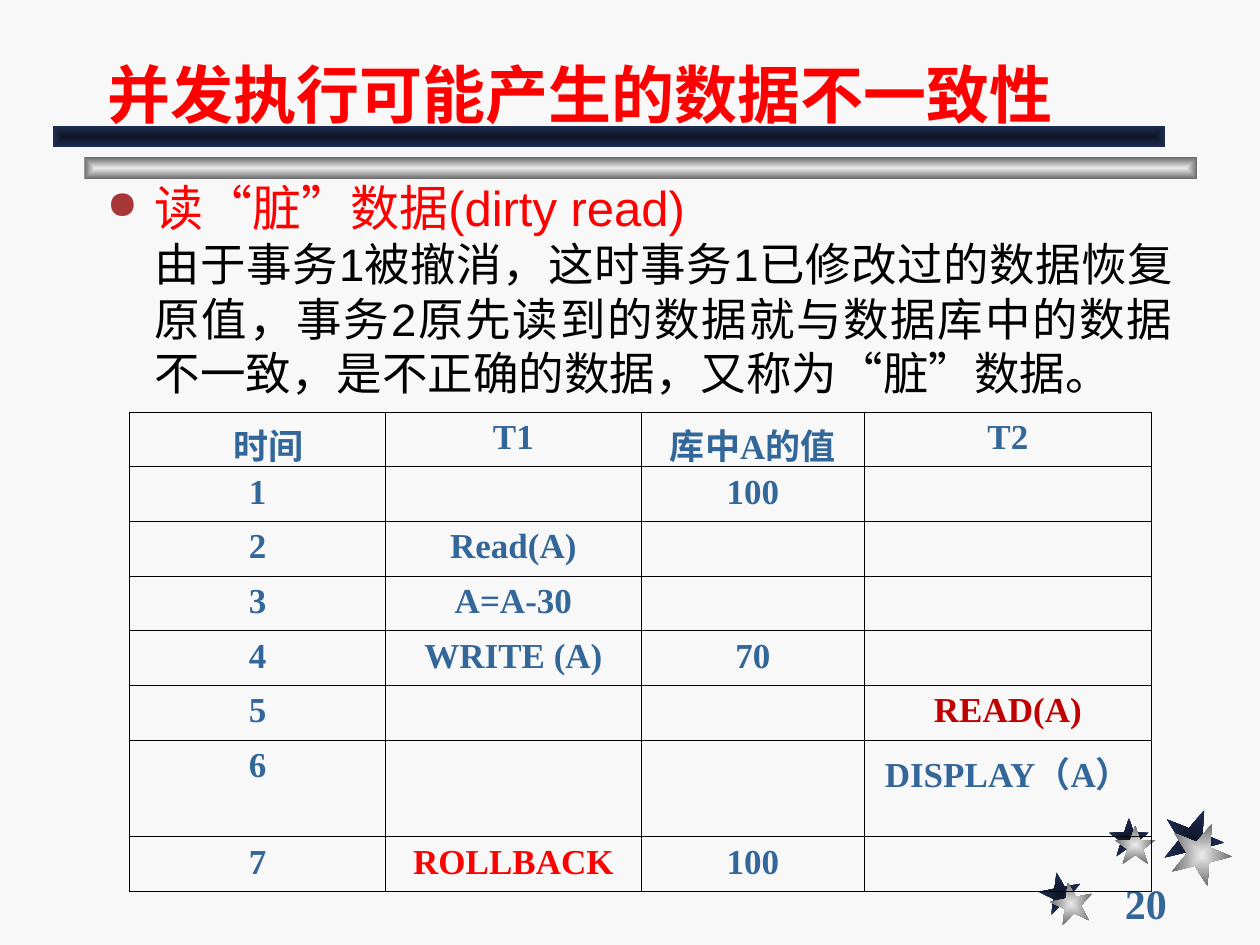
import math

import pptx
import pptx.dml.color
import pptx.enum.shapes
import pptx.enum.text
import pptx.oxml
import pptx.oxml.ns
import pptx.util

Inches = pptx.util.Inches
Align = pptx.enum.text.PP_ALIGN
Anchor = pptx.enum.text.MSO_ANCHOR

NAVY = ("0E1526", "1E2E53")
SILVER = ("EAEAEA", "6C6C6C")
RED, STEEL, BLACK = "FF0000", "336699", "000000"
HANGING = 0.38


def color(value):
    return pptx.dml.color.RGBColor.from_string(value)


def parse_element(tag, attributes="", inner=""):
    namespace = pptx.oxml.ns.nsdecls("a")
    return pptx.oxml.parse_xml(f"<a:{tag} {namespace} {attributes}>{inner}</a:{tag}>")


def fill_from_center(shape, shades):
    stops = "".join(
        f'<a:gs pos="{position}"><a:srgbClr val="{shade}"/></a:gs>'
        for position, shade in zip((0, 100000), shades)
    )
    target = '<a:fillToRect l="50000" t="50000" r="50000" b="50000"/>'
    gradient = parse_element(
        "gradFill", 'rotWithShape="1"',
        f'<a:gsLst>{stops}</a:gsLst><a:path path="rect">{target}</a:path>',
    )
    shape.shadow.inherit = False
    shape.line.fill.background()
    shape.fill.background()
    properties = shape._element.spPr
    properties.replace(properties.find(pptx.oxml.ns.qn("a:noFill")), gradient)


def add_run(paragraph, text, size, shade, font="Arial", bold=False):
    run = paragraph.add_run()
    run.text = text
    run.font.size = pptx.util.Pt(size)
    run.font.name = font
    run.font.bold = bold
    run.font.color.rgb = color(shade)


def indent(paragraph, margin, first_line):
    properties = paragraph._p.get_or_add_pPr()
    properties.set("marL", str(Inches(margin)))
    properties.set("indent", str(Inches(first_line)))
    return properties


def add_text_frame(slide, left, top, width, height):
    box = slide.shapes.add_textbox(
        Inches(left), Inches(top), Inches(width), Inches(height))
    box.text_frame.word_wrap = True
    return box.text_frame


def add_star(slide, center_x, center_y, radius, turn, shades):
    points = []
    for step in range(10):
        reach = radius if step % 2 == 0 else radius * 0.38
        angle = math.radians(turn + 36 * step)
        points.append((Inches(center_x + reach * math.sin(angle)),
                       Inches(center_y - reach * math.cos(angle))))
    builder = slide.shapes.build_freeform(*points[0])
    builder.add_line_segments(points[1:], close=True)
    fill_from_center(builder.convert_to_shape(), shades)


def add_star_cluster(slide, left, top):
    stars = [
        (0.17, 0.68, 0.18, -11, 0.09, 0.08),
        (0.71, 0.24, 0.17, 0, 0.05, 0.06),
        (1.21, 0.25, 0.26, 22, 0.06, 0.11),
    ]
    for shades, layer in ((NAVY, 0), (SILVER, 1)):
        for x, y, radius, turn, shift_x, shift_y in stars:
            add_star(slide, left + x + layer * shift_x,
                     top + y + layer * shift_y, radius, turn, shades)


def add_title_bars(slide, left, top, width, height):
    for offset, shades in ((0.25, SILVER), (0, NAVY)):
        bar = slide.shapes.add_shape(
            pptx.enum.shapes.MSO_SHAPE.RECTANGLE, Inches(left + offset),
            Inches(top + offset), Inches(width), Inches(height))
        fill_from_center(bar, shades)


def place_title(slide, left, top, width, height):
    title = slide.shapes.title
    title.left, title.top = Inches(left), Inches(top)
    title.width, title.height = Inches(width), Inches(height)
    frame = title.text_frame
    frame.auto_size = pptx.enum.text.MSO_AUTO_SIZE.NONE
    frame.vertical_anchor = Anchor.BOTTOM
    heading = frame.paragraphs[0]
    heading.alignment = Align.LEFT
    add_run(heading, "并发执行可能产生的数据不一致性", 36, RED, bold=True)
    slide.shapes._spTree.append(title._element)


def add_explanation(slide, left, top, width, height):
    frame = add_text_frame(slide, left, top, width, height)
    topic = frame.paragraphs[0]
    properties = indent(topic, HANGING, -HANGING)
    properties.append(parse_element("buClr", inner='<a:srgbClr val="A73737"/>'))
    properties.append(parse_element("buSzPct", 'val="80000"'))
    properties.append(parse_element("buChar", 'char="●"'))
    add_run(topic, "读“脏”数据(dirty read)", 28, RED)

    reason = frame.add_paragraph()
    reason.alignment = Align.JUSTIFY
    indent(reason, HANGING, 0)
    add_run(reason, "由于事务1被撤消，这时事务1已修改过的数据恢复原值，"
            "事务2原先读到的数据就与数据库中的数据不一致，"
            "是不正确的数据，又称为“脏”数据。", 26, BLACK)


def format_cell(cell, text):
    cell.fill.background()
    properties = cell._tc.get_or_add_tcPr()
    for position, side in enumerate(("lnL", "lnR", "lnT", "lnB")):
        border = parse_element(
            side, f'w="{pptx.util.Pt(0.45)}"',
            f'<a:solidFill><a:srgbClr val="{BLACK}"/></a:solidFill>')
        properties.insert(position, border)
    if text:
        entry = cell.text_frame.paragraphs[0]
        entry.alignment = Align.CENTER
        indent(entry, HANGING, -0.2 if text == "时间" else -HANGING)
        shade = {"READ(A)": "C00000", "ROLLBACK": RED}.get(text, STEEL)
        add_run(entry, text, 20, shade, "Times New Roman", True)


def add_schedule(slide, left, top, width, height):
    schedule = [
        ("时间", "T1", "库中A的值", "T2"),
        ("1", "", "100", ""),
        ("2", "Read(A)", "", ""),
        ("3", "A=A-30", "", ""),
        ("4", "WRITE (A)", "70", ""),
        ("5", "", "", "READ(A)"),
        ("6", "", "", "DISPLAY（A）"),
        ("7", "ROLLBACK", "100", ""),
    ]
    table = slide.shapes.add_table(
        len(schedule), 4, Inches(left), Inches(top),
        Inches(width), Inches(height)).table
    table.first_row = False
    table.horz_banding = False
    for column, column_width in zip(table.columns, (2.03, 2.03, 1.77, 2.28)):
        column.width = Inches(column_width)
    for row, texts in zip(table.rows, schedule):
        row.height = Inches(0.72 if texts[0] == "6" else 0.41)
        for cell, text in zip(row.cells, texts):
            format_cell(cell, text)


def add_page_number(slide, left, top, width, height):
    frame = add_text_frame(slide, left, top, width, height)
    frame.vertical_anchor = Anchor.MIDDLE
    add_run(frame.paragraphs[0], "20", 24, STEEL, "Times New Roman", True)


def main():
    deck = pptx.Presentation()
    deck.slide_width, deck.slide_height = Inches(10), Inches(7.5)
    slide = deck.slides.add_slide(deck.slide_layouts[5])
    slide.background.fill.solid()
    slide.background.fill.fore_color.rgb = color("F8F8F8")
    add_star_cluster(slide, 8.25, 6.42)
    add_title_bars(slide, 0.42, 1, 8.83, 0.17)
    add_page_number(slide, 8.83, 7, 1.08, 0.33)
    place_title(slide, 0.75, 0.17, 8.5, 0.92)
    add_explanation(slide, 0.75, 1.36, 8.66, 1.91)
    add_schedule(slide, 1.03, 3.27, 8.11, 3.64)
    deck.save("out.pptx")


if __name__ == "__main__":
    main()
